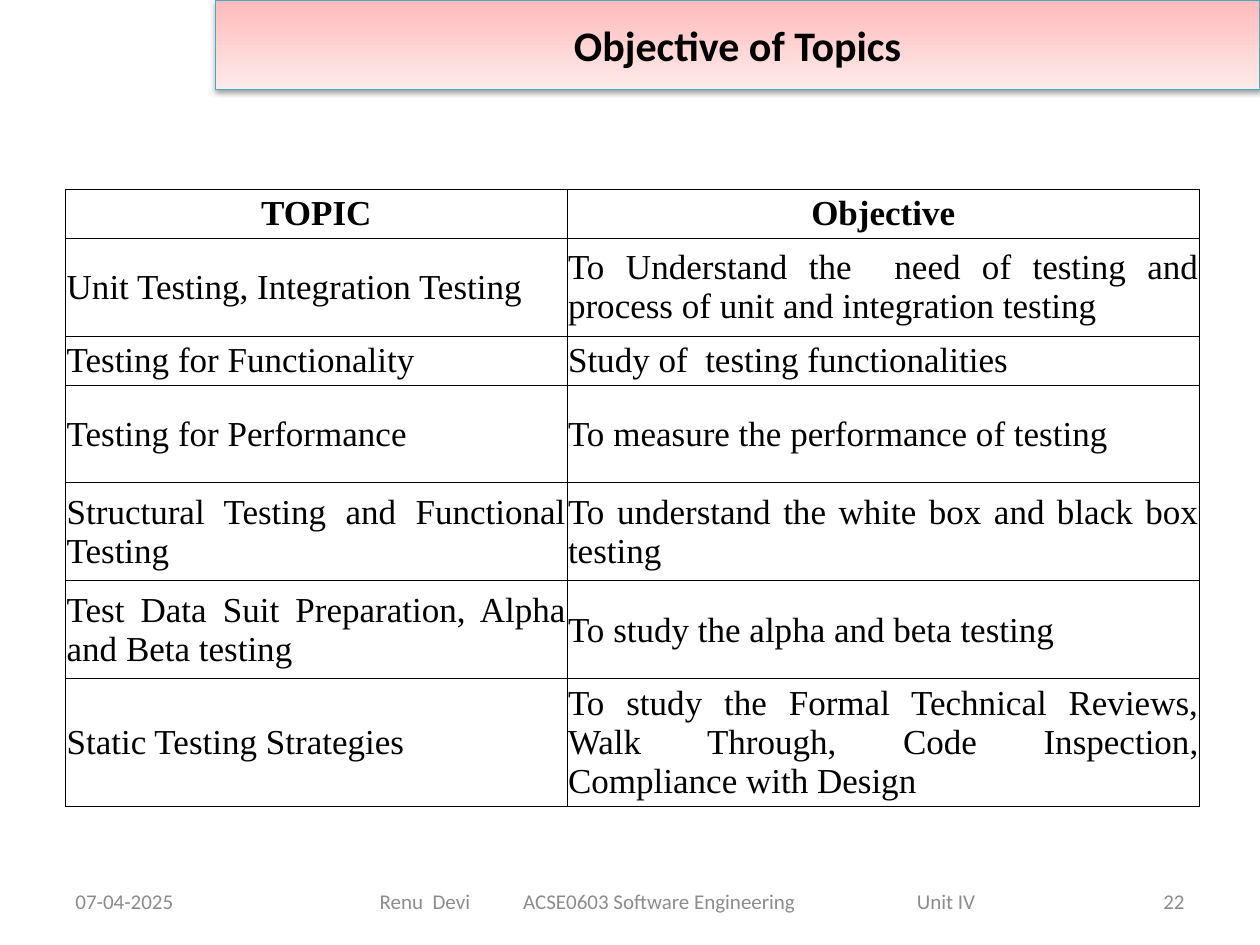
from lxml.etree import SubElement
from pptx import Presentation
from pptx.dml.color import RGBColor
from pptx.enum.shapes import MSO_SHAPE
from pptx.enum.text import MSO_ANCHOR, PP_ALIGN
from pptx.oxml.ns import qn
from pptx.util import Pt

BLACK = RGBColor(0x00, 0x00, 0x00)
WHITE = RGBColor(0xFF, 0xFF, 0xFF)
GRAY = RGBColor(0x8C, 0x8C, 0x8C)
TEAL = RGBColor(0x46, 0xAA, 0xC5)
PINK = RGBColor(0xFF, 0xBB, 0xBB)
PALE_PINK = RGBColor(0xFF, 0xEA, 0xEA)

TOPICS = [
    ("TOPIC", "Objective", 28),
    ("Unit Testing, Integration Testing",
     "To Understand the  need of testing and process of unit and integration testing", 56),
    ("Testing for Functionality", "Study of  testing functionalities", 28),
    ("Testing for Performance", "To measure the performance of testing", 56),
    ("Structural Testing and Functional Testing",
     "To understand the white box and black box testing", 56),
    ("Test Data Suit Preparation, Alpha and Beta testing",
     "To study the alpha and beta testing", 56),
    ("Static Testing Strategies",
     "To study the Formal Technical Reviews, Walk Through, Code Inspection, "
     "Compliance with Design", 28),
]


def write(paragraph, text, font, size, color, bold=False):
    span = paragraph.add_run()
    span.text = text
    span.font.name = font
    span.font.size = Pt(size)
    span.font.color.rgb = color
    span.font.bold = bold


def add_footer(left, width, text, align, inset=7.2, tabs=()):
    """Add a footer box; tabs are left tab stops measured from the inset."""
    box = page.shapes.add_textbox(Pt(left), Pt(500.5), Pt(width), Pt(28.5))
    frame = box.text_frame
    frame.word_wrap = True
    frame.vertical_anchor = MSO_ANCHOR.MIDDLE
    frame.margin_left = Pt(inset)
    paragraph = frame.paragraphs[0]
    paragraph.alignment = align
    if tabs:
        stops = SubElement(paragraph._p.get_or_add_pPr(), qn("a:tabLst"))
        for position in tabs:
            SubElement(stops, qn("a:tab"), pos=str(Pt(position)), algn="l")
    write(paragraph, text, "Calibri", 12, GRAY)


deck = Presentation()
deck.slide_width, deck.slide_height = Pt(720), Pt(540)
page = deck.slides.add_slide(deck.slide_layouts[6])

# Footer
add_footer(36, 168, "07-04-2025", PP_ALIGN.LEFT)
add_footer(516, 168, "22", PP_ALIGN.RIGHT)
add_footer(198, 396, "Renu  Devi\tACSE0603 Software Engineering\tUnit IV",
           PP_ALIGN.LEFT, inset=19, tabs=(82, 307))

# Title banner
banner = page.shapes.add_shape(MSO_SHAPE.RECTANGLE, Pt(123), 0, Pt(597), Pt(51))
banner.fill.gradient()
banner.fill.gradient_angle = 270
for stop, color, position in zip(banner.fill.gradient_stops, (PINK, PALE_PINK), (0, 1)):
    stop.color.rgb = color
    stop.position = position
banner.line.color.rgb = TEAL
banner.line.width = Pt(0.75)
banner.shadow.inherit = False
effects = banner._element.spPr.find(qn("a:effectLst"))
shadow = SubElement(effects, qn("a:outerShdw"), blurRad=str(Pt(3.1)), dist=str(Pt(1.6)),
                    dir="5400000", rotWithShape="0")
shadow_color = SubElement(shadow, qn("a:srgbClr"), val=str(BLACK))
SubElement(shadow_color, qn("a:alpha"), val="38000")
banner.text_frame.vertical_anchor = MSO_ANCHOR.MIDDLE
title = banner.text_frame.paragraphs[0]
title.alignment = PP_ALIGN.CENTER
write(title, "Objective of Topics", "Calibri", 24, BLACK, bold=True)

# Topic table
table = page.shapes.add_table(len(TOPICS), 2, Pt(37.5), Pt(108), Pt(648),
                              Pt(sum(topic[2] for topic in TOPICS))).table
table.horz_banding = False
table.columns[0].width = Pt(286.5)
table.columns[1].width = Pt(361.5)
for row_index, (topic, objective, height) in enumerate(TOPICS):
    table.rows[row_index].height = Pt(height)
    is_header = row_index == 0
    for column_index, text in enumerate((topic, objective)):
        cell = table.cell(row_index, column_index)
        cell.margin_left = cell.margin_right = cell.margin_top = Pt(0.6)
        cell.margin_bottom = 0
        cell.vertical_anchor = MSO_ANCHOR.MIDDLE
        properties = cell._tc.get_or_add_tcPr()
        for side in ("a:lnL", "a:lnR", "a:lnT", "a:lnB"):
            border = SubElement(properties, qn(side), w=str(Pt(0.5)))
            border_fill = SubElement(border, qn("a:solidFill"))
            SubElement(border_fill, qn("a:srgbClr"), val=str(BLACK))
        cell.fill.solid()
        cell.fill.fore_color.rgb = WHITE
        paragraph = cell.text_frame.paragraphs[0]
        paragraph.alignment = PP_ALIGN.CENTER if is_header else PP_ALIGN.JUSTIFY
        write(paragraph, text, "Times New Roman", 20, BLACK, bold=is_header)

deck.save("out.pptx")
